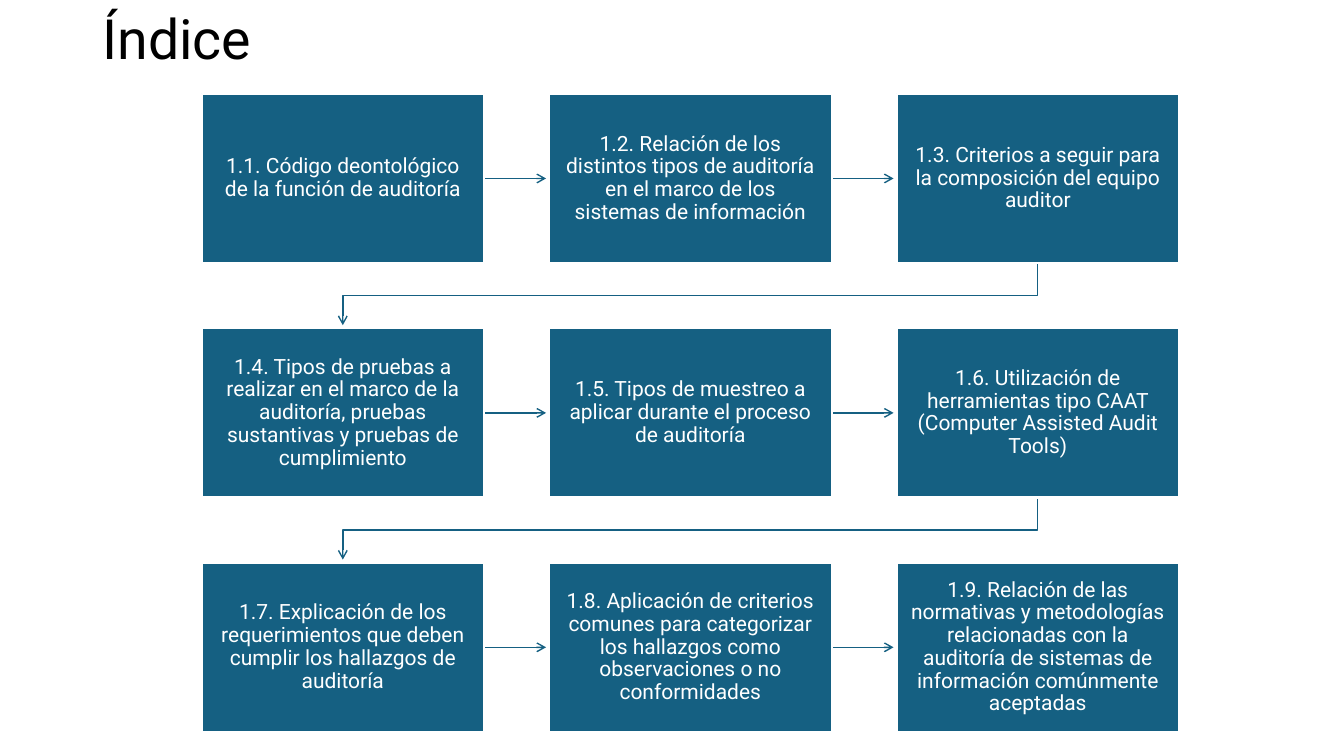
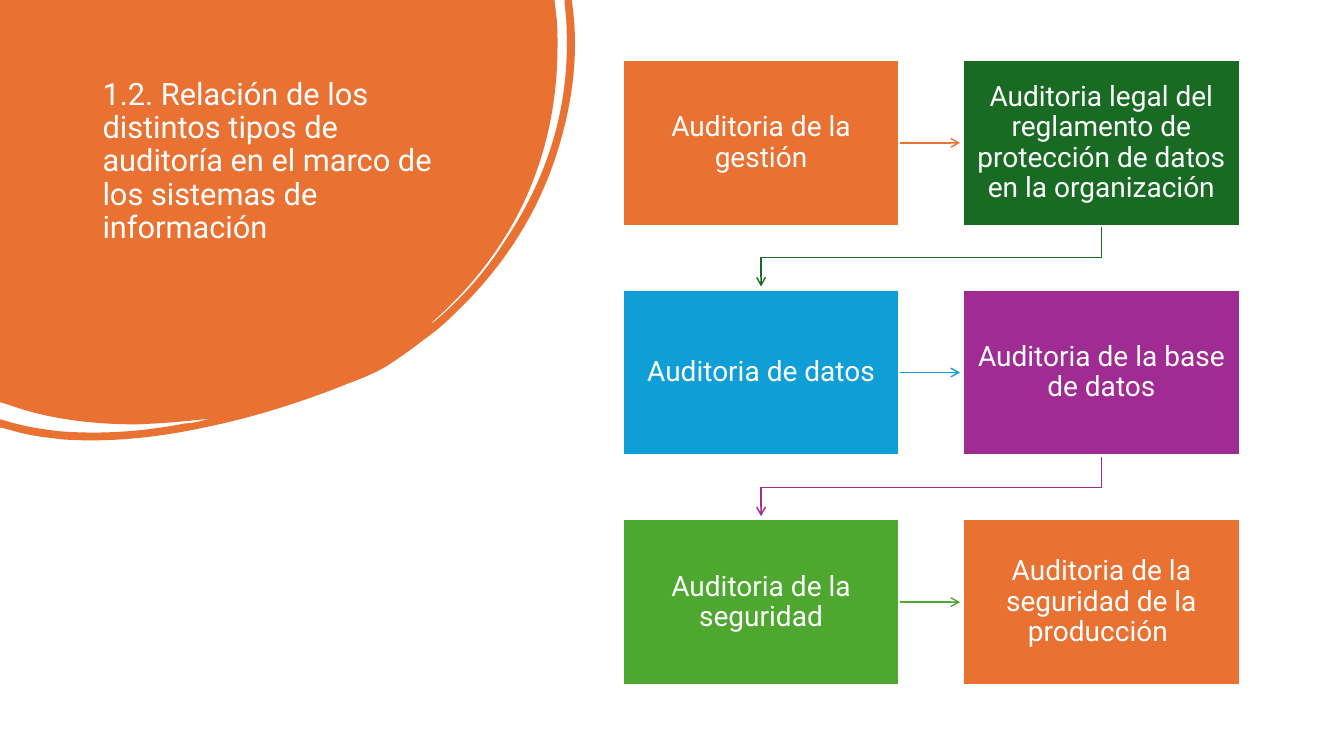
from dataclasses import dataclass

from lxml import etree
from pptx import Presentation
from pptx.dml.color import RGBColor
from pptx.enum.shapes import MSO_CONNECTOR, MSO_SHAPE
from pptx.enum.text import MSO_ANCHOR, MSO_AUTO_SIZE, PP_ALIGN
from pptx.oxml.ns import qn
from pptx.util import Inches, Pt

RECTANGLE = MSO_SHAPE.RECTANGLE
STRAIGHT = MSO_CONNECTOR.STRAIGHT
TOP, MIDDLE = MSO_ANCHOR.TOP, MSO_ANCHOR.MIDDLE
LEFT, CENTER = PP_ALIGN.LEFT, PP_ALIGN.CENTER
TITLE_ONLY = 5


@dataclass
class Theme:
    font: str = "Roboto"
    black: str = "000000"
    white: str = "FFFFFF"
    teal: str = "156082"
    orange: str = "E97132"
    forest: str = "196B24"
    blue: str = "0F9ED5"
    purple: str = "A02B93"
    green: str = "4EA72E"
    index_title: float = 39.6
    topic_title: float = 22
    index_box: float = 15
    topic_box: float = 20
    border: float = 1.5
    arrow: float = 1


theme = Theme()


def write_text(frame, text, size, color, align, anchor, inset=None):
    frame.word_wrap = True
    frame.auto_size = MSO_AUTO_SIZE.NONE
    frame.vertical_anchor = anchor
    if inset is not None:
        frame.margin_left = frame.margin_right = inset
        frame.margin_top = frame.margin_bottom = inset
    para = frame.paragraphs[0]
    para.alignment = align
    para.line_spacing = 0.9
    span = para.add_run()
    span.text = text
    span.font.name = theme.font
    span.font.size = Pt(size)
    span.font.color.rgb = RGBColor.from_string(color)


def style_arrow(arrow, color):
    arrow.line.color.rgb = RGBColor.from_string(color)
    arrow.line.width = Pt(theme.arrow)
    properties = arrow.element.spPr
    etree.SubElement(properties.find(qn("a:ln")), qn("a:tailEnd"), type="arrow")
    etree.SubElement(properties, qn("a:effectLst"))


deck = Presentation()
deck.slide_width, deck.slide_height = Inches(13.33), Inches(7.5)
# One hundredth of the slide each way
COLUMN, ROW = deck.slide_width / 100, deck.slide_height / 100

# Content: title frames and grid origins in hundredths of the slide
pages = [
    dict(
        title="Índice",
        frame=(6.88, 1.1, 86.25, 8.8),
        title_format=dict(size=theme.index_title, color=theme.black, anchor=MIDDLE),
        origin=(15, 12.4), box_width=21.02, columns=3, box_size=theme.index_box,
        colors=[theme.teal],
        steps=[
            "1.1. Código deontológico de la función de auditoría",
            "1.2. Relación de los distintos tipos de auditoría en el marco de los sistemas de información",
            "1.3. Criterios a seguir para la composición del equipo auditor",
            "1.4. Tipos de pruebas a realizar en el marco de la auditoría, pruebas sustantivas y pruebas de cumplimiento",
            "1.5. Tipos de muestreo a aplicar durante el proceso de auditoría",
            "1.6. Utilización de herramientas tipo CAAT (Computer Assisted Audit Tools)",
            "1.7. Explicación de los requerimientos que deben cumplir los hallazgos de auditoría",
            "1.8. Aplicación de criterios comunes para categorizar los hallazgos como observaciones o no conformidades",
            "1.9. Relación de las normativas y metodologías relacionadas con la auditoría de sistemas de información comúnmente aceptadas",
        ],
    ),
    dict(
        title="1.2. Relación de los distintos tipos de auditoría en el marco de los sistemas de información",
        frame=(6.88, 9.77, 26.4, 29.6),
        title_format=dict(size=theme.topic_title, color=theme.white, anchor=TOP),
        origin=(46.33, 7.92), box_width=20.59, columns=2, box_size=theme.topic_box,
        colors=[theme.orange, theme.forest, theme.blue, theme.purple, theme.green],
        steps=[
            "Auditoria de la gestión",
            "Auditoria legal del reglamento de protección de datos en la organización",
            "Auditoria de datos",
            "Auditoria de la base de datos",
            "Auditoria de la seguridad",
            "Auditoria de la seguridad de la producción ",
        ],
    ),
]

for page in pages:
    slide = deck.slides.add_slide(deck.slide_layouts[TITLE_ONLY])

    # Title
    title = slide.shapes.title
    left, top, width, height = page["frame"]
    title.left, title.top = int(left * COLUMN), int(top * ROW)
    title.width, title.height = int(width * COLUMN), int(height * ROW)
    write_text(title.text_frame, page["title"], align=LEFT, **page["title_format"])

    # Grid: box height and gaps follow from the box width
    left, top = int(page["origin"][0] * COLUMN), int(page["origin"][1] * ROW)
    width = int(page["box_width"] * COLUMN)
    height, gap = int(width * 0.6), int(width * 0.23)
    reach = gap - Inches(0.03)
    last_column = page["columns"] - 1

    for number, step in enumerate(page["steps"]):
        row, column = divmod(number, page["columns"])
        x = left + column * (width + gap)
        y = top + row * (height + gap)
        color = page["colors"][number % len(page["colors"])]

        # Arrow to the next step: along the row, or back to the next row
        if number < len(page["steps"]) - 1:
            if column < last_column:
                middle = y + height // 2
                arrow = slide.shapes.add_connector(
                    STRAIGHT, x + width, middle, x + width + reach, middle)
            else:
                start, end, bottom = x + width // 2, left + width // 2, y + height
                turn = bottom + gap // 2
                outline = slide.shapes.build_freeform(start, bottom)
                outline.add_line_segments(
                    [(start, turn), (end, turn), (end, bottom + reach)], close=False)
                arrow = outline.convert_to_shape()
                arrow.fill.background()
            style_arrow(arrow, color)

        # Step box
        box = slide.shapes.add_shape(RECTANGLE, x, y, width, height)
        box.shadow.inherit = False
        box.fill.solid()
        box.fill.fore_color.rgb = RGBColor.from_string(color)
        box.line.color.rgb = RGBColor.from_string(theme.white)
        box.line.width = Pt(theme.border)
        write_text(box.text_frame, step, size=page["box_size"], color=theme.white,
                   align=CENTER, anchor=MIDDLE, inset=Inches(0.14))

# Brush blob behind the last title: pairs are lines, sixes are cubic curves (inches)
BLOB = [
    (5.5, 0), (5.52, 0.17),
    (5.53, 0.26, 5.53, 0.36, 5.53, 0.45),
    (5.53, 1.01, 5.42, 1.54, 5.18, 2.04),
    (4.96, 2.49, 4.65, 2.88, 4.27, 3.21),
    (4.29, 3.21, 4.3, 3.19, 4.32, 3.18),
    (4.59, 2.95, 4.82, 2.69, 5.01, 2.39),
    (5.43, 1.76, 5.65, 1.07, 5.62, 0.3),
    (5.62, 0.21, 5.61, 0.12, 5.6, 0.03),
    (5.6, 0), (5.67, 0), (5.68, 0.07),
    (5.74, 0.54, 5.68, 1.02, 5.53, 1.5),
    (5.33, 2.14, 4.97, 2.68, 4.48, 3.14),
    (4.39, 3.23, 4.29, 3.31, 4.19, 3.38),
    (4.09, 3.46, 3.99, 3.53, 3.87, 3.61),
    (3.75, 3.69, 3.6, 3.75, 3.44, 3.81),
    (2.99, 3.99, 2.52, 4.14, 2.03, 4.24),
    (1.57, 4.34, 1.1, 4.39, 0.63, 4.36),
    (0.45, 4.34, 0.28, 4.32, 0.12, 4.27),
    (0, 4.24), (0, 4.16), (0.04, 4.17),
    (0.23, 4.23, 0.42, 4.26, 0.61, 4.28),
    (1.03, 4.31, 1.43, 4.28, 1.84, 4.2),
    (1.89, 4.2, 1.93, 4.19, 1.98, 4.18),
    (2.02, 4.17, 2.06, 4.16, 2.1, 4.15),
    (1.86, 4.18, 1.61, 4.2, 1.36, 4.21),
    (0.92, 4.21, 0.48, 4.16, 0.07, 4.01),
    (0, 3.99),
]
outline = slide.shapes.build_freeform(0, 0)
for segment in BLOB:
    outline.add_line_segments(
        [(Inches(x), Inches(y)) for x, y in zip(segment[::2], segment[1::2])], close=False)
blob = outline.convert_to_shape()

# Each run of three control points becomes one curve
lines = iter(list(blob.element.iter(qn("a:lnTo"))))
for segment in BLOB:
    line = next(lines)
    if len(segment) == 6:
        curve = etree.Element(qn("a:cubicBezTo"))
        line.addprevious(curve)
        for part in (line, next(lines), next(lines)):
            curve.append(part[0])
            part.getparent().remove(part)

blob.shadow.inherit = False
blob.fill.solid()
blob.fill.fore_color.rgb = RGBColor.from_string(theme.orange)
blob.line.fill.background()
title.element.addprevious(blob.element)

deck.save("out.pptx")
